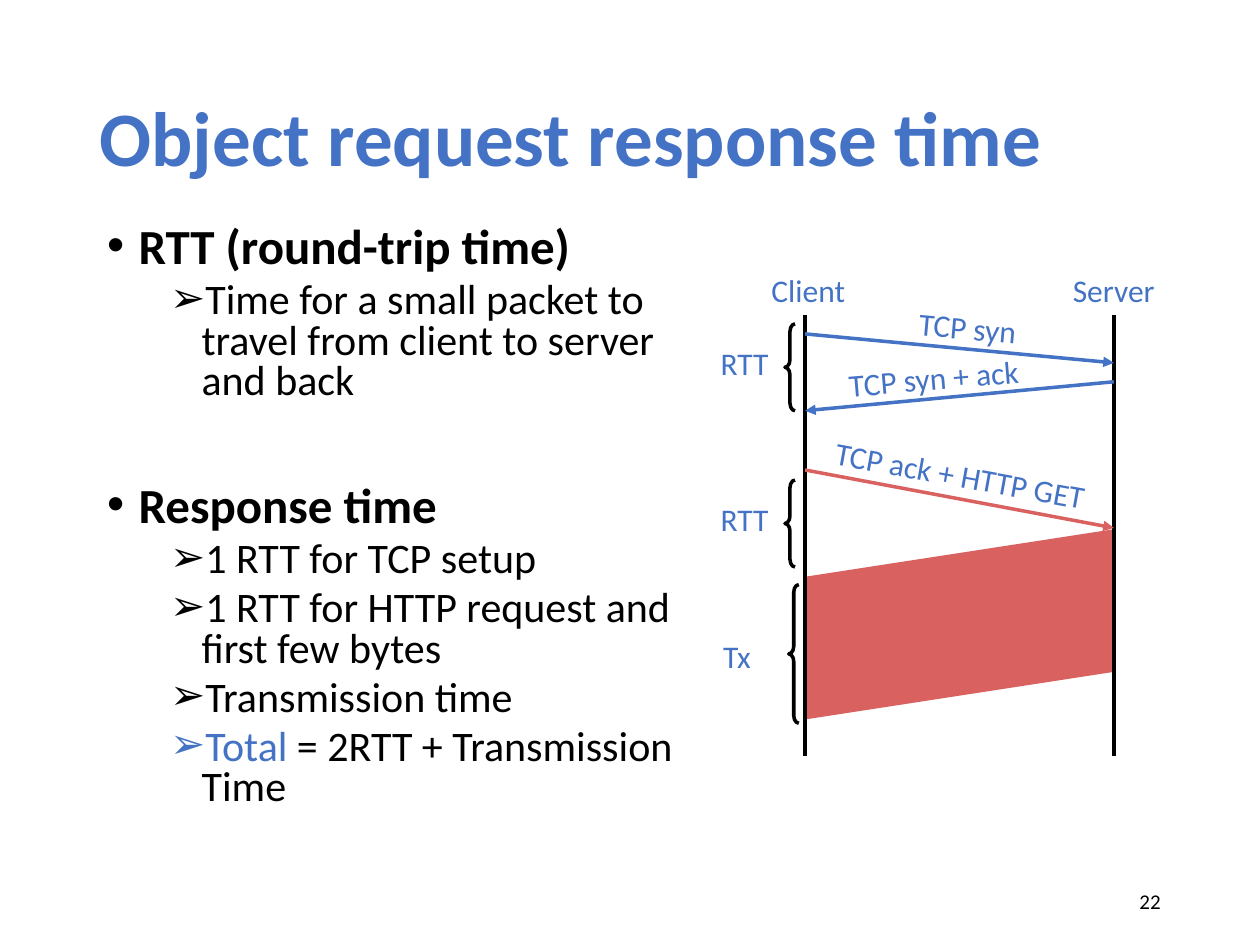
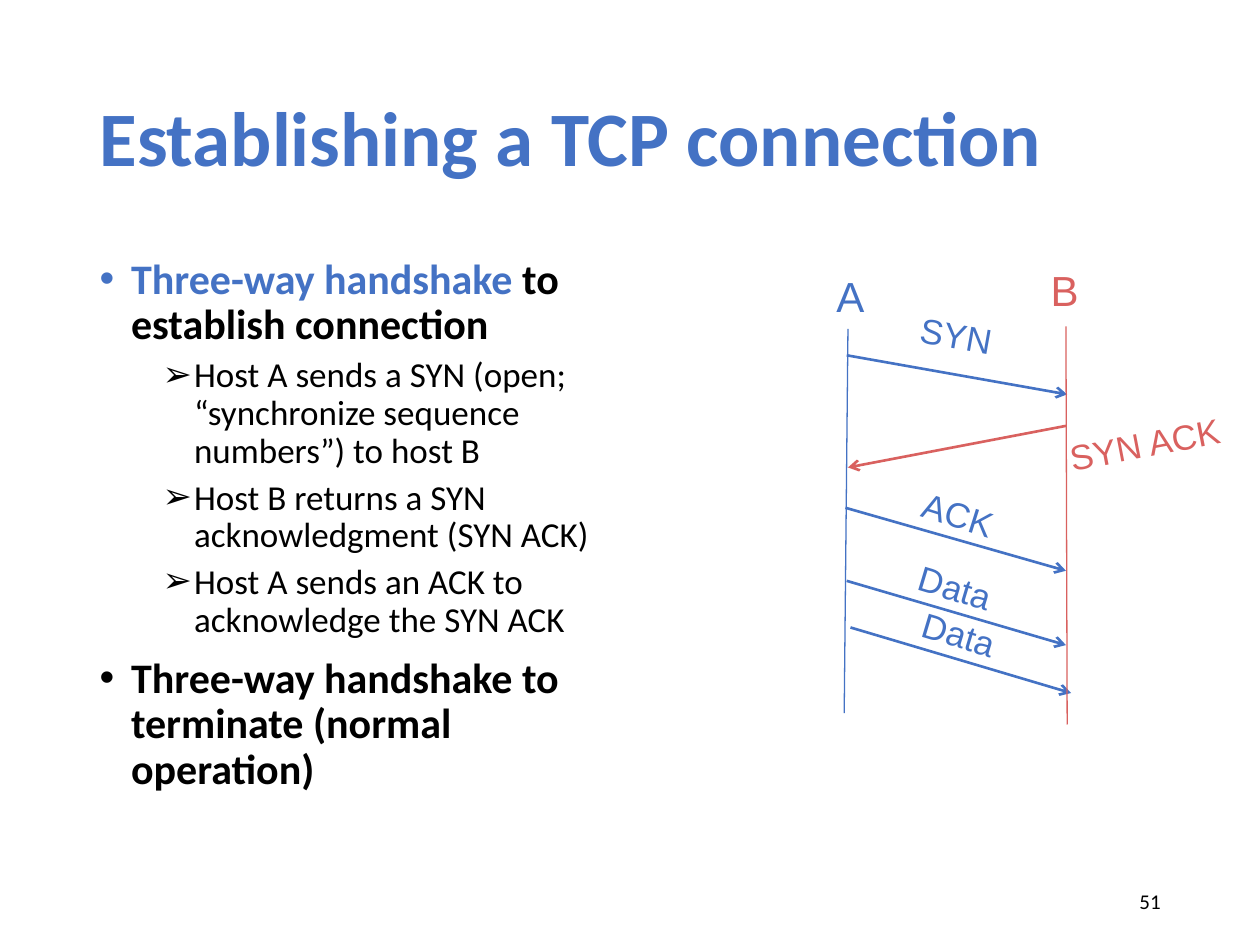
from lxml import etree
from pptx import Presentation
from pptx.dml.color import RGBColor
from pptx.enum.shapes import MSO_CONNECTOR, MSO_SHAPE
from pptx.enum.text import MSO_ANCHOR, MSO_AUTO_SIZE, PP_ALIGN
from pptx.oxml.ns import qn
from pptx.util import Inches, Pt

BLUE = RGBColor(0x44, 0x72, 0xC4)
RED = RGBColor(0xD9, 0x61, 0x5F)
BLACK = RGBColor(0, 0, 0)
LEFT, CENTER, RIGHT = PP_ALIGN.LEFT, PP_ALIGN.CENTER, PP_ALIGN.RIGHT
TOP, MIDDLE = MSO_ANCHOR.TOP, MSO_ANCHOR.MIDDLE
STRAIGHT = MSO_CONNECTOR.STRAIGHT
BRACE, PARALLELOGRAM = MSO_SHAPE.LEFT_BRACE, MSO_SHAPE.PARALLELOGRAM
NO_AUTOFIT = MSO_AUTO_SIZE.NONE
COLUMNS, ROWS = 100, 75

deck = Presentation()
deck.slide_width, deck.slide_height = Inches(10), Inches(7.5)
COL = deck.slide_width // COLUMNS
ROW = deck.slide_height // ROWS


def add_label(slide, text, left, top, width, height, size, color,
              font="Calibri", angle=0, align=CENTER, anchor=MIDDLE):
    label = slide.shapes.add_textbox(
        int(left * COL), int(top * ROW), int(width * COL), int(height * ROW))
    label.rotation = angle
    frame = label.text_frame
    frame.word_wrap = align == RIGHT
    frame.vertical_anchor = anchor
    frame.text = text
    paragraph = frame.paragraphs[0]
    paragraph.alignment = align
    run_font = paragraph.runs[0].font
    run_font.name, run_font.size = font, Pt(size)
    run_font.color.rgb = color


def add_line(slide, x1, y1, x2, y2, color, weight, head=None):
    line = slide.shapes.add_connector(
        STRAIGHT, int(x1 * COL), int(y1 * ROW), int(x2 * COL), int(y2 * ROW))
    line.line.color.rgb = color
    line.line.width = Pt(weight)
    properties = line._element.spPr
    if head:
        etree.SubElement(properties.find(qn("a:ln")), qn("a:tailEnd"), type=head)
    etree.SubElement(properties, qn("a:effectLst"))


BULLETS = [("•", 2.5, 10), ("➢", 7.5, 5)]
pages = [
    dict(title="Object request response time", number="22",
         body=(7.5, 17.5, 47.4, 48.3), sizes=(28, 24), spacing=0.8, breaks=[2],
         items=[(0, "", "RTT (round-trip time)"),
                (1, "", "Time for a small packet to travel from client to server and back"),
                (0, "", "Response time"),
                (1, "", "1 RTT for TCP setup"),
                (1, "", "1 RTT for HTTP request and first few bytes"),
                (1, "", "Transmission time"),
                (1, "Total ", "= 2RTT + Transmission Time")]),
    dict(title="Establishing a TCP connection", number="51",
         body=(6.9, 20, 42.5, 47.6), sizes=(24, 20), spacing=0.9, breaks=[],
         items=[(0, "Three-way handshake", " to establish connection"),
                (1, "", "Host A sends a SYN (open; “synchronize sequence numbers”) to host B"),
                (1, "", "Host B returns a SYN acknowledgment (SYN ACK)"),
                (1, "", "Host A sends an ACK to acknowledge the SYN ACK"),
                (0, "", "Three-way handshake to terminate (normal operation)")]),
]

slides = []
for page in pages:
    slide = deck.slides.add_slide(deck.slide_layouts[1])
    slides.append(slide)

    title = slide.shapes.title
    title.left, title.top = int(6.9 * COL), 4 * ROW
    title.width, title.height = int(86.2 * COL), int(14.5 * ROW)
    title.text_frame.text = page["title"]
    title.text_frame.auto_size = NO_AUTOFIT
    title.text_frame.vertical_anchor = MIDDLE
    heading = title.text_frame.paragraphs[0]
    heading.alignment, heading.line_spacing = LEFT, 0.9
    heading_font = heading.runs[0].font
    heading_font.name, heading_font.size, heading_font.bold = "Calibri", Pt(44), True
    heading_font.color.rgb = BLUE

    body = slide.placeholders[1]
    left, top, width, height = page["body"]
    body.left, body.top = int(left * COL), int(top * ROW)
    body.width, body.height = int(width * COL), int(height * ROW)
    points = body.text_frame
    points.auto_size = NO_AUTOFIT
    for index, (level, highlight, rest) in enumerate(page["items"]):
        point = points.add_paragraph() if index else points.paragraphs[0]
        bullet, indent, gap = BULLETS[level]
        point.level = level
        point.line_spacing = page["spacing"]
        if index == 0:
            gap = 0
        elif index in page["breaks"]:
            gap = 47
        point.space_before = Pt(gap)
        point.space_after = Pt(0)
        properties = point._p.get_or_add_pPr()
        properties.set("marL", str(int(indent * COL)))
        properties.set("indent", str(int(-2.5 * COL)))
        etree.SubElement(properties, qn("a:buFont"), typeface="Arial")
        etree.SubElement(properties, qn("a:buChar"), char=bullet)
        for text, color in ((highlight, BLUE), (rest, BLACK)):
            if text:
                run = point.add_run()
                run.text = text
                run.font.name, run.font.size = "Calibri", Pt(page["sizes"][level])
                run.font.bold = level == 0
                run.font.color.rgb = color

    add_label(slide, page["number"], 70.6, 69.5, 22.5, 4, 12, BLACK, align=RIGHT)

timing, handshake = slides
CLIENT, SERVER = 63.9, 88.4

transmission = timing.shapes.add_shape(
    PARALLELOGRAM, int(68.6 * COL), int(37.3 * ROW), int(15.1 * COL), int(24.5 * ROW))
transmission.shadow.inherit = False
transmission.adjustments[0] = 0.25
transmission.rotation = 270
transmission._element.spPr.find(qn("a:xfrm")).set("flipH", "1")
transmission.fill.solid()
transmission.fill.fore_color.rgb = RED
transmission.line.fill.background()

for host in (CLIENT, SERVER):
    add_line(timing, host, 25, host, 60, BLACK, 2)

for start, y1, end, y2, color in [
    (CLIENT, 26.5, SERVER, 28.8, BLUE),
    (SERVER, 30.3, CLIENT, 32.6, BLUE),
    (CLIENT, 37.3, SERVER, 41.9, RED),
]:
    add_line(timing, start, y1, end, y2, color, 2, "triangle")

for text, left, top, width, angle, align in [
    ("Client", 60.2, 21, 7.9, 0, CENTER),
    ("Server", 84.1, 21, 8.6, 0, CENTER),
    ("TCP syn", 71.9, 24, 9.8, 5.1, CENTER),
    ("TCP syn + ack", 66, 28, 16.2, 355.2, CENTER),
    ("TCP ack + HTTP GET", 65.1, 35.7, 22.2, 10.4, CENTER),
    ("RTT", 56.2, 26.8, 5.8, 0, LEFT),
    ("RTT", 56.2, 39.2, 5.8, 0, LEFT),
    ("Tx", 56.4, 50.1, 4.2, 0, LEFT),
]:
    add_label(timing, text, left, top, width, 4, 18, BLUE,
              angle=angle, align=align, anchor=TOP)

for left, top, height in [(62.3, 25.7, 6.9), (62.3, 38.1, 6.9), (62.6, 46.4, 11)]:
    brace = timing.shapes.add_shape(
        BRACE, int(left * COL), int(top * ROW), int(0.8 * COL), int(height * ROW))
    brace.shadow.inherit = False
    brace.adjustments[0] = 0.75
    brace.fill.background()
    brace.line.color.rgb = BLACK
    brace.line.width = Pt(2)

for x1, y1, x2, y2, color in [
    (67.2, 28.2, 84.7, 31.3, BLUE),
    (84.6, 33.8, 67.3, 37.1, RED),
    (67.1, 40.3, 84.6, 45.3, BLUE),
    (67.2, 46.1, 84.6, 51.2, BLUE),
    (67.5, 49.8, 85, 55, BLUE),
]:
    add_line(handshake, x1, y1, x2, y2, color, 1.5, "arrow")

add_line(handshake, 84.6, 25.9, 84.7, 57.5, RED, 0.75)
add_line(handshake, 67.3, 26.1, 67, 56.6, BLUE, 0.75)

for text, left, top, width, height, size, color, angle in [
    ("A", 65.3, 21, 4.4, 5, 24, BLUE, 0),
    ("B", 82.4, 20.5, 4.2, 5, 24, RED, 0),
    ("SYN", 72, 24.4, 7.8, 4.4, 20, BLUE, 10.1),
    ("SYN ACK", 83.7, 33, 14.3, 4.4, 20, RED, 349.1),
    ("ACK", 72.1, 38.6, 7.9, 4.4, 20, BLUE, 17.4),
    ("Data", 71.8, 44.4, 8, 4.4, 20, BLUE, 16.7),
    ("Data", 72.1, 48.1, 8, 4.4, 20, BLUE, 16.7),
]:
    add_label(handshake, text, left, top, width, height, size, color, "Arial", angle)

deck.save("out.pptx")
